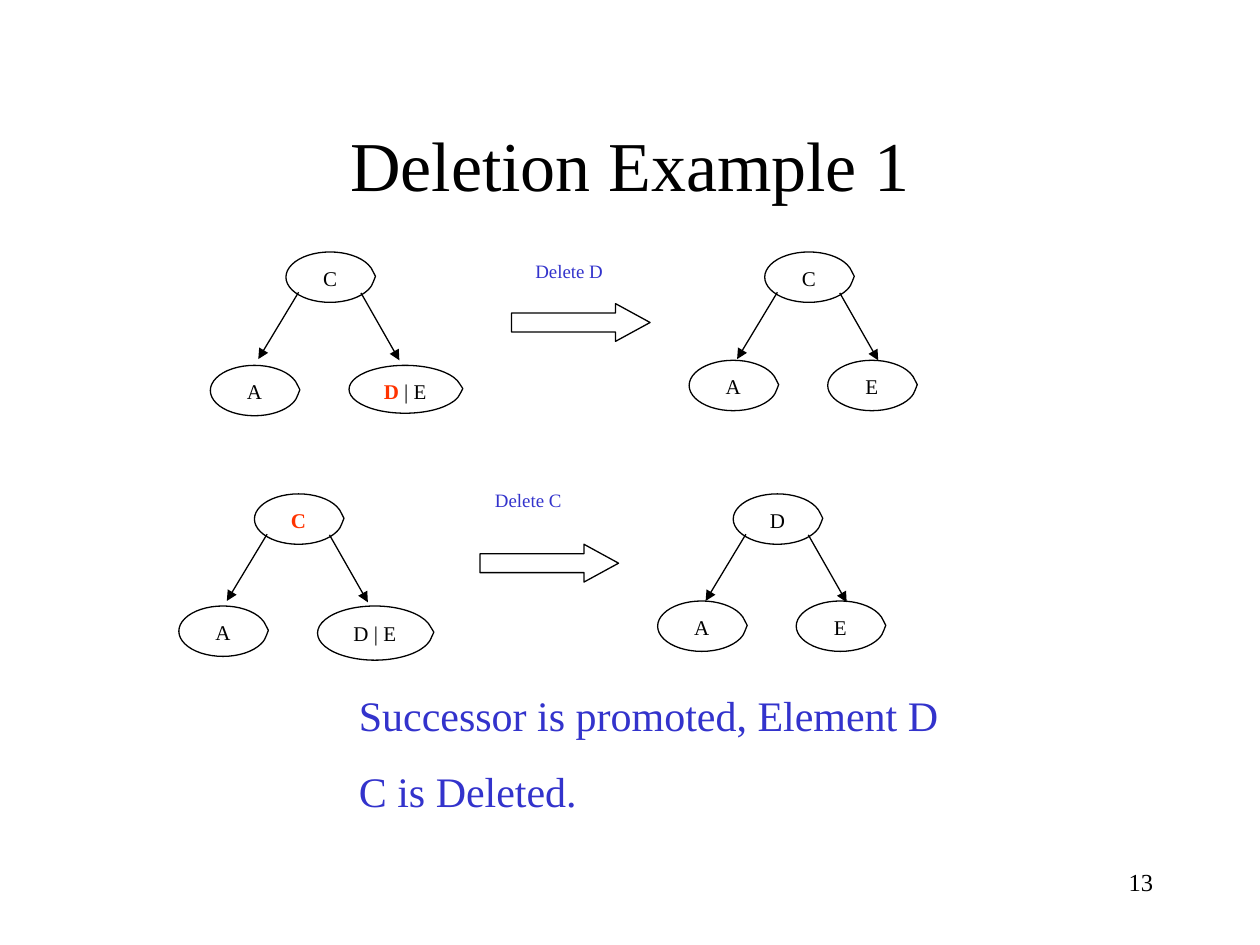
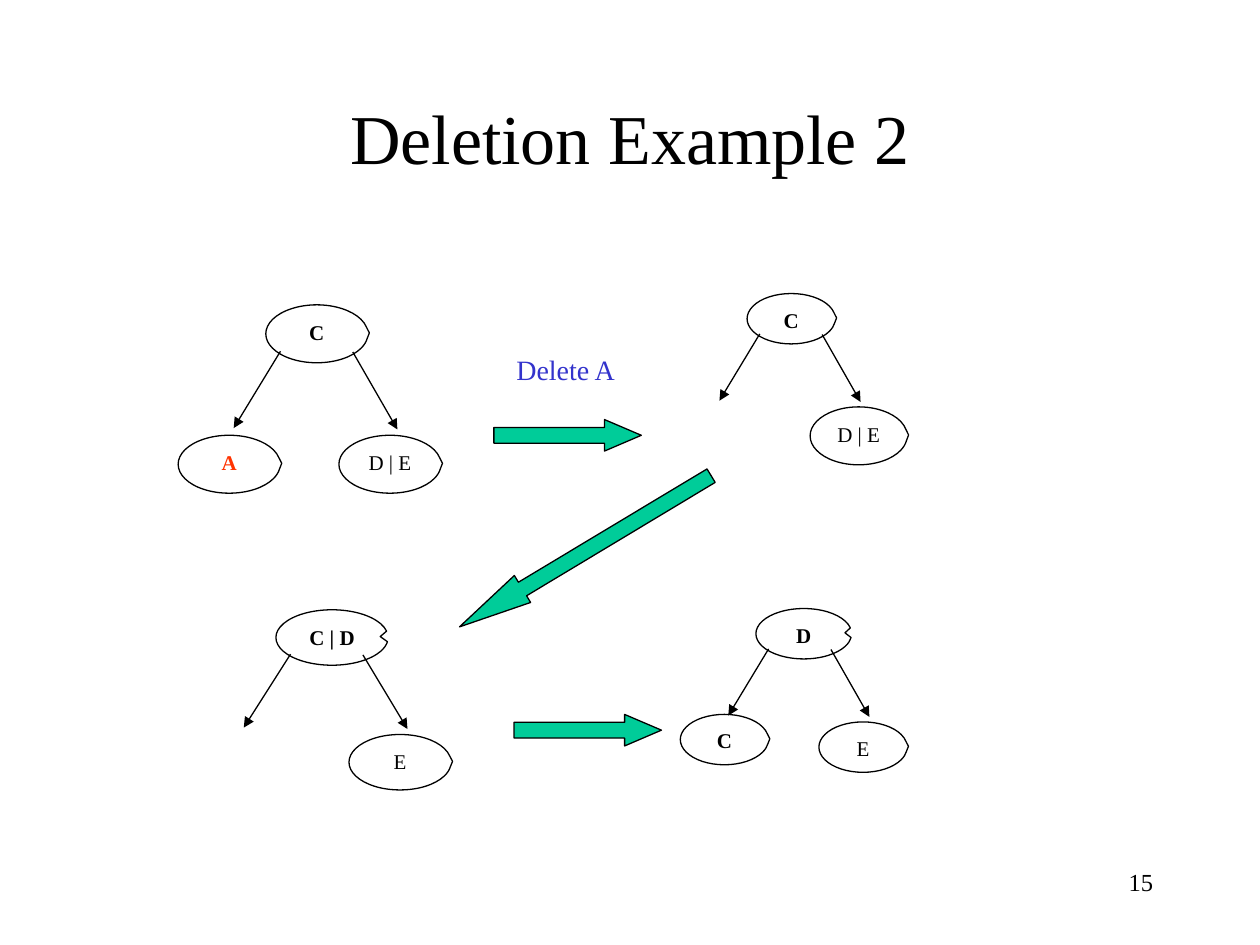
from lxml import etree
from pptx import Presentation
from pptx.dml.color import RGBColor
from pptx.enum.shapes import MSO_CONNECTOR, MSO_SHAPE as Preset
from pptx.enum.text import MSO_ANCHOR as Anchor, PP_ALIGN as Align
from pptx.oxml.ns import qn
from pptx.util import Inches, Pt

WHITE = RGBColor(0xFF, 0xFF, 0xFF)
BLACK = RGBColor(0x00, 0x00, 0x00)
RED = RGBColor(0xFF, 0x33, 0x00)
BLUE = RGBColor(0x33, 0x33, 0xCC)
GREEN = RGBColor(0x00, 0xCC, 0x99)
FONT = "Times New Roman"

# Run styles: colour and weight
PLAIN, STRONG, DELETED, NOTE = (BLACK, False), (BLACK, True), (RED, True), (BLUE, False)

deck = Presentation()
deck.slide_width, deck.slide_height = Inches(10), Inches(7.5)
COL = deck.slide_width / 100
ROW = deck.slide_height / 75


def grid(x, y, *size):
    """Turn columns and rows into slide lengths."""
    return [round(n * unit) for n, unit in zip((x, y, *size), (COL, ROW) * 2)]


def write(shape, paragraphs, size, align=Align.LEFT, anchor=Anchor.TOP, gap=0):
    """Fill a shape with paragraphs, each a list of (text, style) runs."""
    frame = shape.text_frame
    frame.word_wrap = True
    frame.vertical_anchor = anchor
    for i, runs in enumerate(paragraphs):
        paragraph = frame.paragraphs[0] if i == 0 else frame.add_paragraph()
        paragraph.alignment = align
        if i:
            paragraph.space_before = Pt(gap)
        for text, (color, bold) in runs:
            run = paragraph.add_run()
            run.text = text
            for key, value in {"name": FONT, "size": Pt(size), "bold": bold}.items():
                setattr(run.font, key, value)
            run.font.color.rgb = color


# Parts of a tree at scale 1, measured from the root's top left corner
CHILD_X = (-6, 5)
EDGES = (((1, 3.2), (-2.2, 8.5)), ((5.95, 3.25), (9, 8.6)))
SHORT_TAIL, NOTCH = (0.515, -0.016), (0.43, -0.017)

# A tree: root corner, scale, callout tail of the root, root, left child, right child
# A node: runs, width, height, and for a child its drop below the root
# An arrow: area, head length, rotation
slides = [
    {
        "title": "Deletion Example 1", "title_rows": 12.5, "number": "13",
        "trees": [
            ((22.7, 20), (1, 1), SHORT_TAIL, ([("C", PLAIN)], 7, 4),
             ([("A", PLAIN)], 7, 4, 9), ([("D", DELETED), (" | E", PLAIN)], 8.9, 3.8, 9)),
            ((60.7, 20), (1, 1), SHORT_TAIL, ([("C", PLAIN)], 7, 4),
             ([("A", PLAIN)], 7, 4, 8.6), ([("E", PLAIN)], 7, 4, 8.6)),
            ((20.2, 39.2), (1, 1), SHORT_TAIL, ([("C", DELETED)], 7, 4),
             ([("A", PLAIN)], 7, 4, 8.9), ([("D | E", PLAIN)], 9.1, 4.3, 8.9)),
            ((58.2, 39.2), (1, 1), SHORT_TAIL, ([("D", PLAIN)], 7, 4),
             ([("A", PLAIN)], 7, 4, 8.5), ([("E", PLAIN)], 7, 4, 8.5)),
        ],
        "arrow_fill": WHITE,
        "arrows": [((40.6, 24.1, 11, 3), 0.915, 0), ((38.1, 43.2, 11, 3), 0.915, 0)],
        "label_size": 10.8,
        "labels": [("Delete D", (41.5, 20.1, 9, 3)), ("Delete C", (38.3, 38.3, 9, 3))],
        "remarks": ["Successor is promoted, Element D", "C is Deleted."],
    },
    {
        "title": "Deletion Example 2", "title_rows": 8.3, "number": "15",
        "trees": [
            ((21.1, 24.2), (1.16, 1.15), SHORT_TAIL, ([("C", STRONG)], 8.1, 4.6),
             ([("A", DELETED)], 8.1, 4.6, 9), ([("D | E", PLAIN)], 8.1, 4.6, 9)),
            ((59.3, 23.3), (1, 1), SHORT_TAIL, ([("C", STRONG)], 7, 4),
             None, ([("D | E", PLAIN)], 7.7, 4.6, 9)),
            ((21.9, 48.4), (1.16, 1.1), NOTCH, ([("C | D", STRONG)], 8.9, 4.4),
             None, ([("E", PLAIN)], 8.1, 4.4, 9)),
            ((60, 48.3), (1, 1), NOTCH, ([("D", STRONG)], 7.6, 4),
             ([("C", STRONG)], 7, 4, 8.4), ([("E", PLAIN)], 7, 4, 9)),
        ],
        "arrow_fill": GREEN,
        "arrows": [((39.2, 33.3, 11.7, 2.5), 1.167, 0),
                   ((34.8, 42.5, 23.3, 2.5), 2.333, 149),
                   ((40.8, 56.7, 11.7, 2.5), 1.167, 0)],
        "label_size": 16,
        "labels": [("Delete A", (40, 27.5, 9.9, 3.7))],
        "remarks": [],
    },
]

for content in slides:
    slide = deck.slides.add_slide(deck.slide_layouts[6])
    shapes = slide.shapes

    number = shapes.add_textbox(*grid(71.7, 68.3, 20.8, 5))
    write(number, [[(content["number"], PLAIN)]], 14, Align.RIGHT)
    title = shapes.add_textbox(*grid(7.5, 6.7, 85, content["title_rows"]))
    write(title, [[(content["title"], PLAIN)]], 40, Align.CENTER, Anchor.MIDDLE)

    for (x, y), (scale_x, scale_y), root_tail, root, *children in content["trees"]:
        nodes = [(*root, x, y, root_tail)]
        for child, offset in zip(children, CHILD_X):
            if child:
                runs, width, height, drop = child
                nodes.append((runs, width, height, x + offset * scale_x,
                              y + drop * scale_y, SHORT_TAIL))
        for runs, width, height, left, top, tail in nodes:
            node = shapes.add_shape(Preset.OVAL_CALLOUT, *grid(left, top, width, height))
            node.adjustments[0], node.adjustments[1] = tail
            node.shadow.inherit = False
            node.fill.solid()
            node.fill.fore_color.rgb = WHITE
            node.line.color.rgb = BLACK
            node.line.width = Pt(0.75)
            write(node, [runs], 12, Align.CENTER)

        for ends in EDGES:
            start, end = [grid(x + dx * scale_x, y + dy * scale_y) for dx, dy in ends]
            edge = shapes.add_connector(MSO_CONNECTOR.STRAIGHT, *start, *end)
            edge.line.color.rgb = BLACK
            edge.line.width = Pt(0.75)
            etree.SubElement(edge.line._get_or_add_ln(), qn("a:tailEnd"), type="triangle")
            etree.SubElement(edge._element.spPr, qn("a:effectLst"))

    for area, head, rotation in content["arrows"]:
        arrow = shapes.add_shape(Preset.RIGHT_ARROW, *grid(*area))
        arrow.adjustments[1] = head
        arrow.rotation = rotation
        arrow.shadow.inherit = False
        arrow.fill.solid()
        arrow.fill.fore_color.rgb = content["arrow_fill"]
        arrow.line.color.rgb = BLACK
        arrow.line.width = Pt(0.75)

    for text, area in content["labels"]:
        write(shapes.add_textbox(*grid(*area)), [[(text, NOTE)]], content["label_size"])

    if content["remarks"]:
        remarks = shapes.add_textbox(*grid(27.5, 54.2, 60, 11.1))
        write(remarks, [[(text, NOTE)] for text in content["remarks"]], 24, gap=15)

deck.save("out.pptx")
